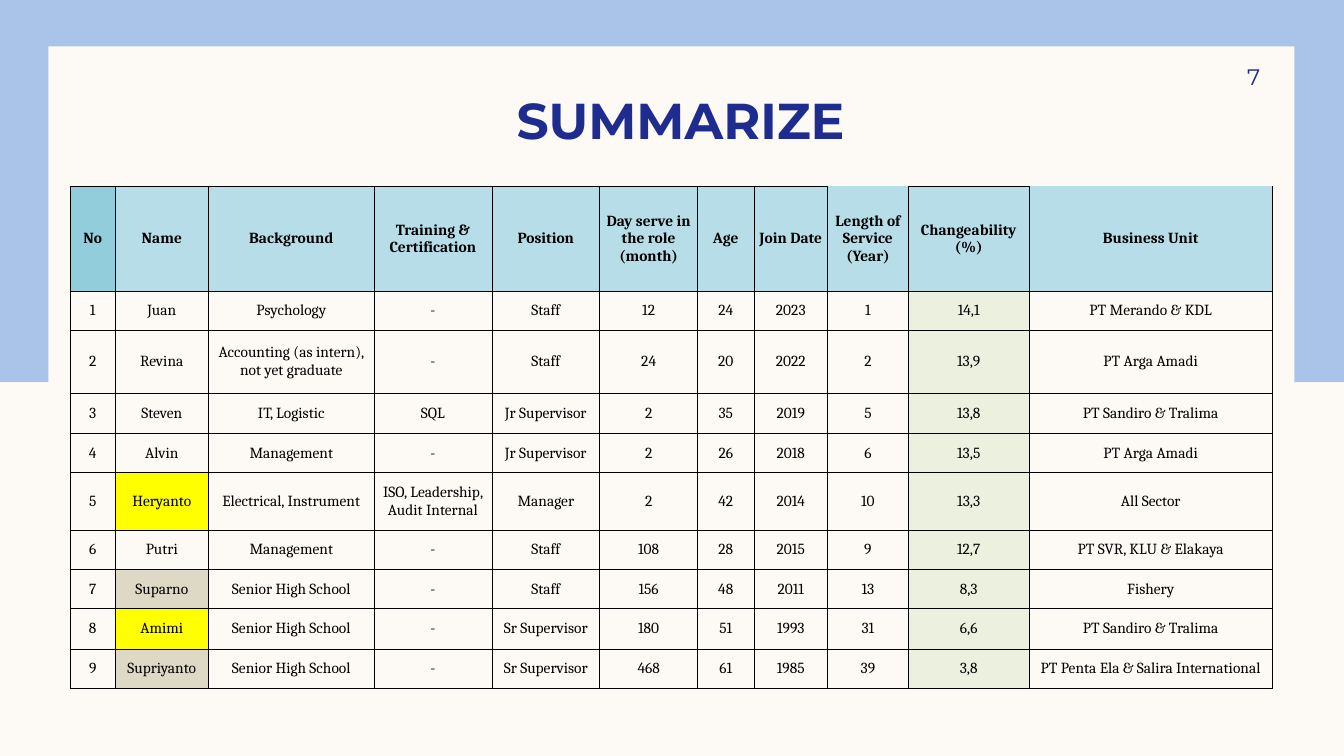
from lxml.etree import SubElement
from pptx import Presentation
from pptx.dml.color import RGBColor
from pptx.enum.shapes import MSO_SHAPE
from pptx.enum.text import MSO_ANCHOR, PP_ALIGN
from pptx.oxml.ns import qn
from pptx.util import Pt

PX = 9144  # 100 px to the inch

COLORS = {
    "paper": "FDFAF6",
    "band": "AAC3E8",
    "navy": "1F2C8F",
    "black": "000000",
    "header_no": "92CDDC",
    "header": "B7DEE8",
    "score": "EBF1DE",
    "yellow": "FFFF00",
    "tan": "DDD9C4",
}

COL_WIDTHS = [44, 93, 164, 117, 107, 97, 56, 73, 80, 120, 241]
ROW_HEIGHTS = [104, 39, 62, 40, 39, 57, 39, 39, 40, 39]

HEADERS = ["No", "Name", "Background", "Training & Certification", "Position",
           "Day serve in the role (month)", "Age", "Join Date",
           "Length of Service (Year)", "Changeability (%)", "Business Unit"]
STAFF = [
    ["Juan", "Psychology", "-", "Staff", "12", "24", "2023", "1", "14,1",
     "PT Merando & KDL"],
    ["Revina", "Accounting (as intern), not yet graduate", "-", "Staff", "24",
     "20", "2022", "2", "13,9", "PT Arga Amadi"],
    ["Steven", "IT, Logistic", "SQL", "Jr Supervisor", "2", "35", "2019", "5",
     "13,8", "PT Sandiro & Tralima"],
    ["Alvin", "Management", "-", "Jr Supervisor", "2", "26", "2018", "6",
     "13,5", "PT Arga Amadi"],
    ["Heryanto", "Electrical, Instrument", "ISO, Leadership, Audit Internal",
     "Manager", "2", "42", "2014", "10", "13,3", "All Sector"],
    ["Putri", "Management", "-", "Staff", "108", "28", "2015", "9", "12,7",
     "PT SVR, KLU & Elakaya"],
    ["Suparno", "Senior High School", "-", "Staff", "156", "48", "2011", "13",
     "8,3", "Fishery"],
    ["Amimi", "Senior High School", "-", "Sr Supervisor", "180", "51", "1993",
     "31", "6,6", "PT Sandiro & Tralima"],
    ["Supriyanto", "Senior High School", "-", "Sr Supervisor", "468", "61",
     "1985", "39", "3,8", "PT Penta Ela & Salira International"],
]
NAME_FILLS = {"Heryanto": "yellow", "Amimi": "yellow",
              "Suparno": "tan", "Supriyanto": "tan"}
OPEN_TOP = {"Length of Service (Year)", "Business Unit"}


def rgb(name):
    return RGBColor.from_string(COLORS[name])


def px(*lengths):
    return [n * PX for n in lengths]


def add_run(p, text, size, font, color, bold=False):
    r = p.add_run()
    r.text = text
    r.font.size = Pt(size)
    r.font.name = font
    r.font.bold = bold
    r.font.color.rgb = rgb(color)


def add_panel(slide, box, color):
    sp = slide.shapes.add_shape(MSO_SHAPE.RECTANGLE, *px(*box))
    sp.shadow.inherit = False
    sp.fill.solid()
    sp.fill.fore_color.rgb = rgb(color)
    sp.line.fill.background()


def add_label(slide, box, text, size, align, anchor, margins, bold=False):
    tf = slide.shapes.add_textbox(*px(*box)).text_frame
    tf.word_wrap = True
    tf.vertical_anchor = anchor
    (tf.margin_left, tf.margin_top,
     tf.margin_right, tf.margin_bottom) = px(*margins)
    p = tf.paragraphs[0]
    p.alignment = align
    add_run(p, text, size, "Montserrat", "navy", bold)


def set_borders(cell, open_top):
    tc_pr = cell._tc.get_or_add_tcPr()
    for side in ("L", "R", "T", "B"):
        ln = SubElement(tc_pr, qn(f"a:ln{side}"), w=str(Pt(0.5)))
        if side == "T" and open_top:
            SubElement(ln, qn("a:noFill"))
        else:
            fill = SubElement(ln, qn("a:solidFill"))
            SubElement(fill, qn("a:srgbClr"), val=COLORS["black"])


def cell_fill(row, heading, text):
    if row == 0:
        return "header_no" if heading == "No" else "header"
    if heading == "Changeability (%)":
        return "score"
    return NAME_FILLS.get(text) if heading == "Name" else None


def fill_cell(cell, text, fill, bold, open_top):
    cell.margin_left = cell.margin_right = 0
    cell.margin_top = cell.margin_bottom = 0
    cell.vertical_anchor = MSO_ANCHOR.MIDDLE
    set_borders(cell, open_top)
    if fill:
        cell.fill.solid()
        cell.fill.fore_color.rgb = rgb(fill)
    else:
        cell.fill.background()
    p = cell.text_frame.paragraphs[0]
    p.alignment = PP_ALIGN.CENTER
    add_run(p, text, 11, "Cambria", "black", bold)


def add_staff_table(slide, left, top):
    rows = [HEADERS] + [[str(n)] + person for n, person in enumerate(STAFF, 1)]
    box = px(left, top, sum(COL_WIDTHS), sum(ROW_HEIGHTS))
    table = slide.shapes.add_table(len(rows), len(HEADERS), *box).table
    table.first_row = table.horz_banding = False
    for col, width in zip(table.columns, COL_WIDTHS):
        col.width = width * PX
    for row, height in zip(table.rows, ROW_HEIGHTS):
        row.height = height * PX
    for i, values in enumerate(rows):
        for j, (heading, text) in enumerate(zip(HEADERS, values)):
            fill_cell(table.cell(i, j), text, cell_fill(i, heading, text),
                      bold=i == 0, open_top=i == 0 and heading in OPEN_TOP)


def main():
    prs = Presentation()
    prs.slide_width, prs.slide_height = px(1333, 750)
    slide = prs.slides.add_slide(prs.slide_layouts[6])

    # Background: blue band behind a light sheet
    slide.background.fill.solid()
    slide.background.fill.fore_color.rgb = rgb("paper")
    add_panel(slide, (-3, 0, 1336, 379), "band")
    add_panel(slide, (48, 46, 1236, 659), "paper")

    # Title and page number
    add_label(slide, (100, 88, 1150, 60), "SUMMARIZE", 36, PP_ALIGN.CENTER,
              MSO_ANCHOR.BOTTOM, (10, 0, 10, 0), bold=True)
    add_label(slide, (1133, 50, 117, 52), "7", 16, PP_ALIGN.RIGHT,
              MSO_ANCHOR.MIDDLE, (10, 5, 0, 5))

    # Staff table
    add_staff_table(slide, 70, 185)

    prs.save("out.pptx")


if __name__ == "__main__":
    main()
